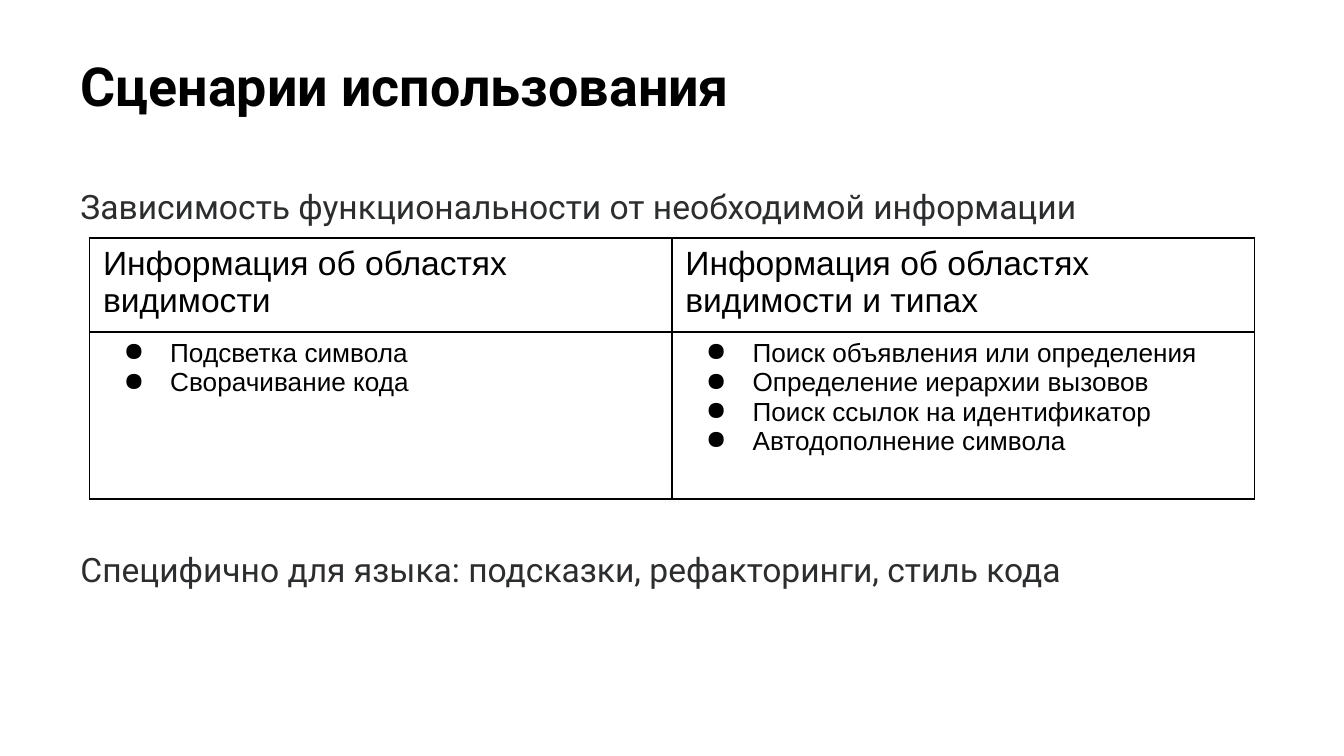
import pptx
import pptx.dml.color
import pptx.enum.text
import pptx.oxml
import pptx.oxml.ns
import pptx.util

Pt = pptx.util.Pt
PP = pptx.enum.text
NS = pptx.oxml.ns.nsdecls("a")

USES = {
    "Информация об областях видимости": [
        "Подсветка символа",
        "Сворачивание кода",
    ],
    "Информация об областях видимости и типах": [
        "Поиск объявления или определения",
        "Определение иерархии вызовов",
        "Поиск ссылок на идентификатор",
        "Автодополнение символа",
    ],
}


def rgb(value):
    return pptx.dml.color.RGBColor.from_string(value)


class SlideWriter:
    heading_font = "Roboto"
    table_font = "Arial"
    black = "000000"
    grey = "2C2D2E"

    def __init__(self, slide):
        self.slide = slide

    def style(self, paragraph, name, size, color, bold=False):
        paragraph.alignment = PP.PP_ALIGN.LEFT
        font = paragraph.font
        font.name, font.size, font.bold = name, Pt(size), bold
        font.color.rgb = rgb(color)

    def title(self, text, left, top, width, height):
        title = self.slide.shapes.title
        title.left, title.top = Pt(left), Pt(top)
        title.width, title.height = Pt(width), Pt(height)
        frame = title.text_frame
        frame.text = text
        frame.auto_size = PP.MSO_AUTO_SIZE.NONE
        frame.vertical_anchor = PP.MSO_ANCHOR.MIDDLE
        self.style(frame.paragraphs[0], self.heading_font, 28.8, self.black, True)

    def body(self, lines, left, top, width, height, gap):
        box = self.slide.shapes.add_textbox(Pt(left), Pt(top), Pt(width), Pt(height))
        frame = box.text_frame
        frame.word_wrap = True
        frame.text = "\n".join(lines)
        for paragraph in frame.paragraphs:
            self.style(paragraph, self.heading_font, 18, self.grey)
        for paragraph in frame.paragraphs[1:]:
            paragraph.space_before = Pt(gap)

    def bullet(self, paragraph):
        properties = paragraph._p.get_or_add_pPr()
        properties.set("marL", str(Pt(36)))
        properties.set("indent", str(-Pt(25)))
        properties.append(pptx.oxml.parse_xml(
            f'<a:buClr {NS}><a:srgbClr val="{self.black}"/></a:buClr>'))
        properties.append(pptx.oxml.parse_xml(f'<a:buChar {NS} char="●"/>'))

    def outline(self, cell):
        """Clear the cell's fill and draw a thin border on all four sides."""
        cell.fill.background()
        properties = cell._tc.get_or_add_tcPr()
        for position, side in enumerate(("lnL", "lnR", "lnT", "lnB")):
            properties.insert(position, pptx.oxml.parse_xml(
                f'<a:{side} {NS} w="{Pt(1)}"><a:solidFill>'
                f'<a:srgbClr val="{self.black}"/></a:solidFill></a:{side}>'))

    def cell_text(self, cell, lines, size, bulleted=False):
        cell.text = "\n".join(lines)
        for paragraph in cell.text_frame.paragraphs:
            self.style(paragraph, self.table_font, size, self.black)
            if bulleted:
                self.bullet(paragraph)

    def table(self, columns, left, top, column_width, row_heights):
        """Put each heading over a list that spans all the remaining rows."""
        table = self.slide.shapes.add_table(
            len(row_heights), len(columns), Pt(left), Pt(top),
            Pt(column_width * len(columns)), Pt(sum(row_heights))).table
        table.first_row = table.horz_banding = False
        for row, height in zip(table.rows, row_heights):
            row.height = Pt(height)
        for cell in table.iter_cells():
            self.outline(cell)
            cell.margin_top = cell.margin_bottom = Pt(3.6)
        last_row = len(row_heights) - 1
        for index, (heading, uses) in enumerate(columns.items()):
            table.columns[index].width = Pt(column_width)
            self.cell_text(table.cell(0, index), [heading], 18)
            table.cell(1, index).merge(table.cell(last_row, index))
            self.cell_text(table.cell(1, index), uses, 14, bulleted=True)
            covered = table.cell(last_row, index)
            covered.margin_top = covered.margin_bottom = 0
            covered.text_frame.paragraphs[0].font.size = Pt(8)


def main():
    deck = pptx.Presentation()
    deck.slide_width, deck.slide_height = Pt(720), Pt(405)
    writer = SlideWriter(deck.slides.add_slide(deck.slide_layouts[5]))
    writer.title("Сценарии использования", 36, 24.5, 537, 42)
    writer.body(
        ["Зависимость функциональности от необходимой информации",
         "Специфично для языка: подсказки, рефакторинги, стиль кода"],
        36, 96, 588, 271, gap=173)
    writer.table(USES, 48, 127.5, 312, [49.5, 73.5, 16])
    deck.save("out.pptx")


if __name__ == "__main__":
    main()
